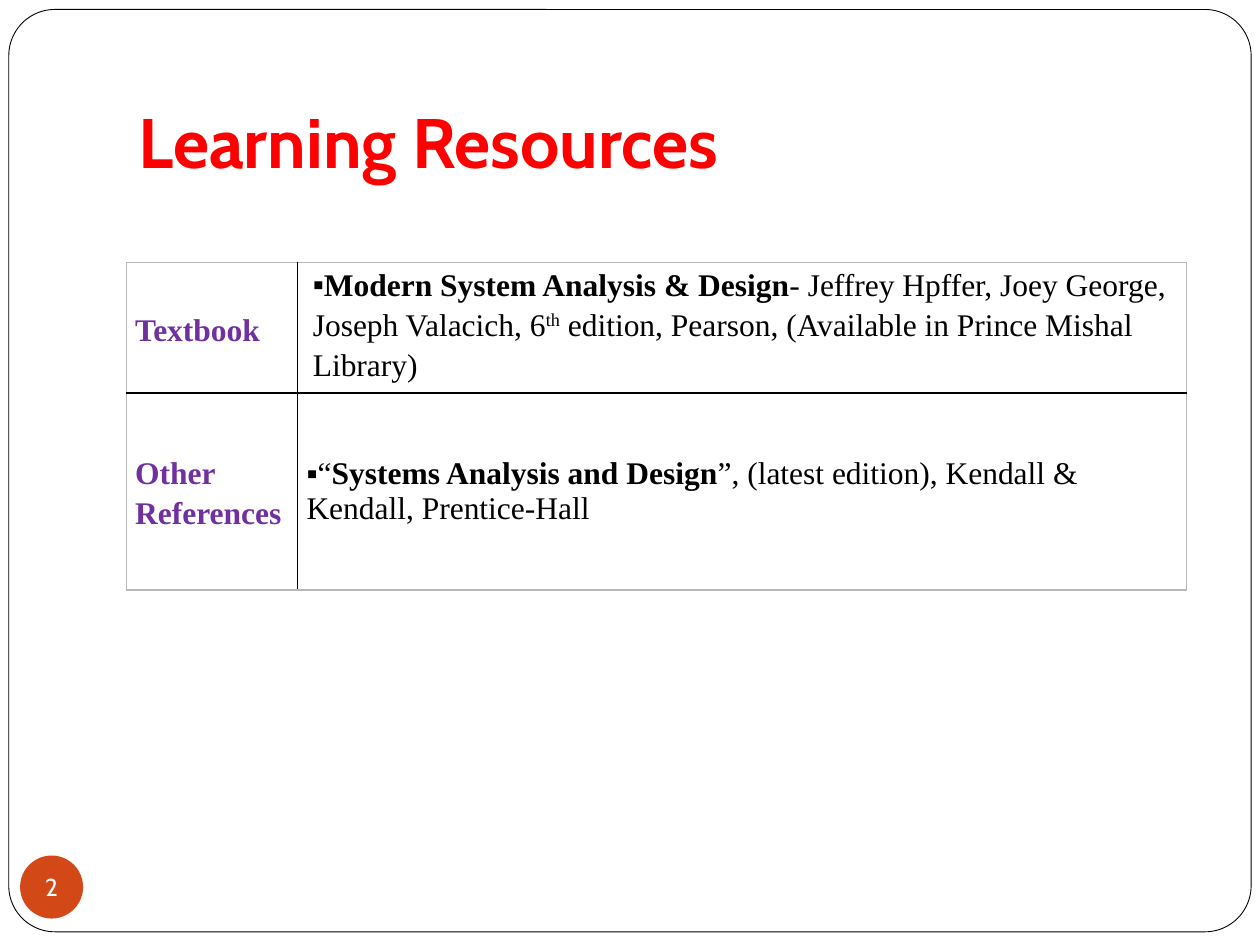
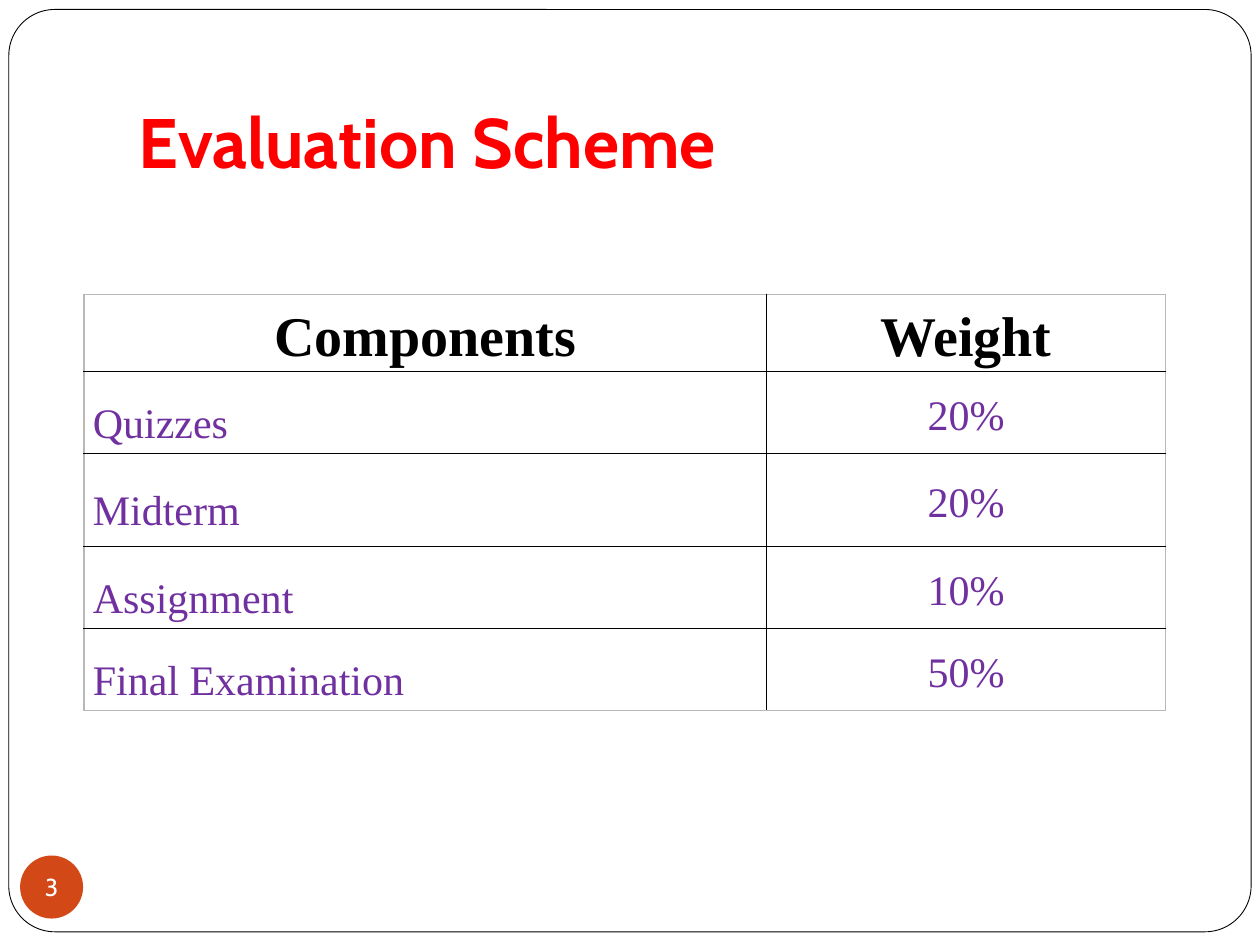
from lxml import etree
from pptx import Presentation
from pptx import util as u
from pptx.dml.color import RGBColor
from pptx.enum import shapes, text
from pptx.oxml import ns

BLACK = RGBColor(0x00, 0x00, 0x00)
WHITE = RGBColor(0xFF, 0xFF, 0xFF)
RED = RGBColor(0xFF, 0x00, 0x00)
PURPLE = RGBColor(0x70, 0x30, 0xA0)
ORANGE = RGBColor(0xD3, 0x48, 0x17)
GREY = RGBColor(0xB8, 0xB8, 0xB8)
HEAD_FONT, TABLE_FONT = "Cabin", "Times New Roman"
WIDTH, HEIGHT = u.Inches(10), u.Inches(7.5)
CENTER, LEFT = text.PP_ALIGN.CENTER, text.PP_ALIGN.LEFT
MIDDLE, TOP = text.MSO_ANCHOR.MIDDLE, text.MSO_ANCHOR.TOP


def across(percent):
    return round(WIDTH * percent / 100)


def down(percent):
    return round(HEIGHT * percent / 100)


def area(x, y, w, h):
    return across(x), down(y), across(w), down(h)


def set_attrs(target, values):
    for name, value in values.items():
        setattr(target, name, value)


def margins(left, top, right, bottom):
    names = ("margin_left", "margin_top", "margin_right", "margin_bottom")
    return dict(zip(names, map(u.Inches, (left, top, right, bottom))))


def add_run(p, words, size, color, bold=False, font=TABLE_FONT, raised=False):
    r = p.add_run()
    r.text = words
    set_attrs(r.font, {"size": u.Pt(size), "bold": bold, "name": font})
    r.font.color.rgb = color
    if raised:
        r.font._element.set("baseline", "30000")


def add_shape(s, kind, box, fill):
    sp = s.shapes.add_shape(kind, *area(*box))
    sp.shadow.inherit = False
    sp.fill.solid()
    sp.fill.fore_color.rgb = fill
    sp.line.fill.background()
    return sp


def add_frame(s):
    sp = add_shape(s, shapes.MSO_SHAPE.ROUNDED_RECTANGLE,
                   (0.7, 1, 98.6, 97.6), WHITE)
    sp.adjustments[0] = 0.05
    sp.line.color.rgb = BLACK
    sp.line.width = u.Pt(0.5)
    s.shapes._spTree.insert(2, sp._element)


def add_title(s, words):
    sp = s.shapes.title
    sp.left, sp.top, sp.width, sp.height = area(10, 4, 85, 16.67)
    tf = sp.text_frame
    set_attrs(tf, {"word_wrap": True, "auto_size": text.MSO_AUTO_SIZE.NONE,
                   "vertical_anchor": text.MSO_ANCHOR.BOTTOM,
                   **margins(0.1, 0.05, 0.1, 0.1)})
    p = tf.paragraphs[0]
    p.alignment = LEFT
    add_run(p, words, 40, RED, True, HEAD_FONT)


def add_badge(s, number):
    sp = add_shape(s, shapes.MSO_SHAPE.OVAL, (1.6, 90.53, 5, 6.67), ORANGE)
    tf = sp.text_frame
    set_attrs(tf, {"word_wrap": False, "vertical_anchor": MIDDLE,
                   **margins(0, 0, 0, 0)})
    p = tf.paragraphs[0]
    p.alignment = CENTER
    add_run(p, str(number), 14, WHITE, font=HEAD_FONT)


def add_slide(prs, title, number):
    s = prs.slides.add_slide(prs.slide_layouts[5])
    add_frame(s)
    add_title(s, title)
    add_badge(s, number)
    return s


def set_borders(cell, colors):
    tc_pr = cell._tc.get_or_add_tcPr()
    for side, color in zip(("lnL", "lnR", "lnT", "lnB"), colors):
        ln = etree.SubElement(tc_pr, ns.qn(f"a:{side}"), w=str(u.Pt(1)))
        fill = etree.SubElement(ln, ns.qn("a:solidFill"))
        etree.SubElement(fill, ns.qn("a:srgbClr"), val=str(color))


def set_bullet(p, indent):
    p_pr = p._p.get_or_add_pPr()
    p_pr.set("marL", "0")
    p_pr.set("indent", str(u.Inches(indent)))
    etree.SubElement(p_pr, ns.qn("a:buFont"), typeface=TABLE_FONT)
    etree.SubElement(p_pr, ns.qn("a:buChar"), char="▪")


def fill_cell(cell, runs, align=LEFT, spacing=1.15, anchor=MIDDLE,
              side=0.07, bullet_indent=None):
    set_attrs(cell, {"vertical_anchor": anchor, **margins(side, 0, side, 0)})
    p = cell.text_frame.paragraphs[0]
    set_attrs(p, {"alignment": align, "line_spacing": spacing})
    if bullet_indent is not None:
        set_bullet(p, bullet_indent)
    for run in runs:
        add_run(p, **run)


def add_table(s, x, y, widths, heights, rows):
    box = area(x, y, sum(widths), sum(heights))
    table = s.shapes.add_table(len(heights), len(widths), *box).table
    set_attrs(table, {"first_row": False, "horz_banding": False})
    for column, width in zip(table.columns, widths):
        column.width = across(width)
    last_row, last_col = len(heights) - 1, len(widths) - 1
    for i, (row, height) in enumerate(zip(rows, heights)):
        table.rows[i].height = down(height)
        for j, content in enumerate(row):
            cell = table.cell(i, j)
            edges = (j == 0, j == last_col, i == 0, i == last_row)
            set_borders(cell, [GREY if edge else BLACK for edge in edges])
            cell.fill.background()
            fill_cell(cell, **content)


def label(words):
    return {"runs": [dict(words=words, size=18, color=PURPLE, bold=True)]}


def reference(*parts, **layout):
    runs = [dict(words=words, size=18, color=BLACK, **style)
            for words, style in parts]
    return {"runs": runs, **layout}


def heading(words):
    return {"runs": [dict(words=words, size=32, color=BLACK, bold=True)],
            "align": CENTER}


def entry(words, **layout):
    return {"runs": [dict(words=words, size=24, color=PURPLE)], **layout}


def add_resources(prs):
    s = add_slide(prs, "Learning Resources", 2)
    textbook = reference(
        ("Modern System Analysis & Design", {"bold": True}),
        ("- Jeffrey Hpffer, Joey George, Joseph Valacich, 6", {}),
        ("th", {"raised": True}),
        (" edition, Pearson, (Available in Prince Mishal Library)", {}),
        anchor=TOP, side=0.12, bullet_indent=-0.38)
    other = reference(
        ("“", {}),
        ("Systems Analysis and Design", {"bold": True}),
        ("”, (latest edition), Kendall & Kendall, Prentice-Hall", {}),
        spacing=1.0, bullet_indent=0)
    add_table(s, 10.03, 27.8, (13.6, 70.55), (13.8, 20.83),
              [(label("Textbook"), textbook),
               (label("Other References"), other)])


def add_evaluation(prs):
    s = add_slide(prs, "Evaluation Scheme", 3)
    weights = {"Quizzes": 20, "Midterm": 20, "Assignment": 10,
               "Final Examination": 50}
    rows = [(heading("Components"), heading("Weight"))]
    rows += [(entry(name, spacing=1.5), entry(f"{weight}%", align=CENTER))
             for name, weight in weights.items()]
    add_table(s, 6.67, 31.15, (54.17, 31.67),
              (8.15, 8.68, 9.87, 8.68, 8.68), rows)


def main():
    prs = Presentation()
    prs.slide_width, prs.slide_height = WIDTH, HEIGHT
    add_resources(prs)
    add_evaluation(prs)
    prs.save("out.pptx")


if __name__ == "__main__":
    main()
